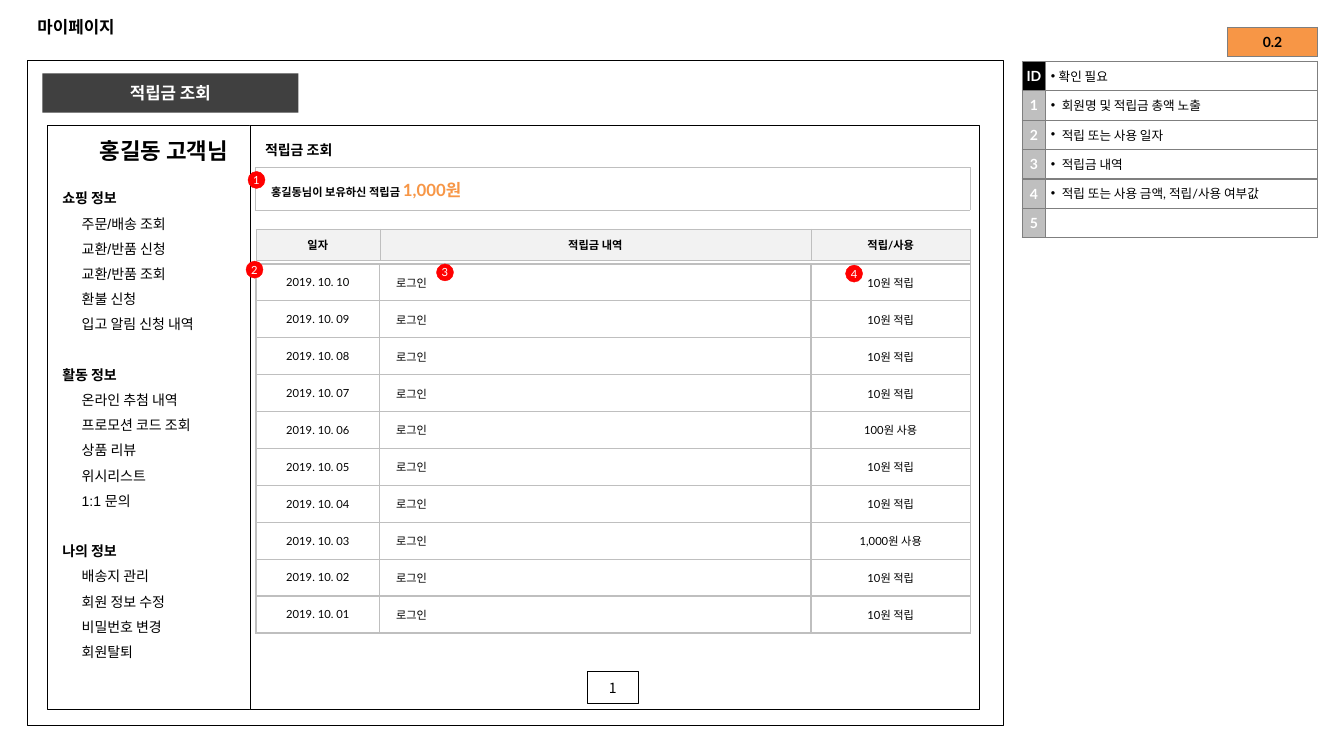
import dataclasses
import typing

import lxml.etree
import pptx
import pptx.dml.color
import pptx.enum.shapes
import pptx.enum.text
import pptx.oxml.ns
import pptx.util

Cm = pptx.util.Cm
Pt = pptx.util.Pt
ALIGN = pptx.enum.text.PP_ALIGN
MID = pptx.enum.text.MSO_ANCHOR.MIDDLE
TOP = pptx.enum.text.MSO_ANCHOR.TOP
KIND = pptx.enum.shapes.MSO_SHAPE
qn = pptx.oxml.ns.qn
Spot = tuple[float, float, float, float]


@dataclasses.dataclass
class Style:
    size: float = 8
    bold: bool = False
    face: str = "Lato"
    ink: str = "000000"
    align: typing.Any = ALIGN.CENTER


@dataclasses.dataclass
class Box:
    spot: Spot
    fill: str = ""
    line: str = ""
    width: float = 0.25
    text: str = ""
    style: Style = dataclasses.field(default_factory=Style)
    kind: typing.Any = KIND.RECTANGLE
    pad: float = 0.25


@dataclasses.dataclass
class Cell:
    text: str
    style: Style
    fill: str = "FFFFFF"
    inset: float = 0
    bullet: float = 0
    indent: float = 0
    anchor: typing.Any = MID


@dataclasses.dataclass
class Grid:
    left: float
    top: float
    cols: list[float]
    high: float
    rows: list[list[Cell]]
    edge: str
    width: float


def paint(code: str) -> pptx.dml.color.RGBColor:
    return pptx.dml.color.RGBColor.from_string(code)


def place(spot: Spot) -> list[int]:
    return [Cm(value) for value in spot]


def assign(item: typing.Any, values: dict[str, typing.Any]) -> None:
    for name, value in values.items():
        setattr(item, name, value)


def pad(frame: typing.Any, size: float) -> None:
    sides = ("left", "right", "top", "bottom")
    assign(frame, {f"margin_{side}": Cm(size) for side in sides})


def write(para: typing.Any, text: str, style: Style) -> None:
    para.alignment = style.align
    run = para.add_run()
    run.text = text
    assign(run.font, {"size": Pt(style.size), "bold": style.bold, "name": style.face})
    run.font.color.rgb = paint(style.ink)


def shift(para: typing.Any, left: float, first: float = 0) -> None:
    props = para._p.get_or_add_pPr()
    props.set("marL", str(Cm(left)))
    props.set("indent", str(Cm(first)))


def draw_box(slide: typing.Any, box: Box) -> None:
    shape = slide.shapes.add_shape(box.kind, *place(box.spot))
    shape.shadow.inherit = False
    for ink, part in ((box.fill, shape.fill), (box.line, shape.line.fill)):
        if ink:
            part.solid()
            part.fore_color.rgb = paint(ink)
        else:
            part.background()
    if box.line:
        shape.line.width = Pt(box.width)
    if box.text:
        frame = shape.text_frame
        assign(frame, {"word_wrap": True, "vertical_anchor": MID})
        pad(frame, box.pad)
        write(frame.paragraphs[0], box.text, box.style)


def add_text(slide: typing.Any, spot: Spot, anchor: typing.Any) -> typing.Any:
    frame = slide.shapes.add_textbox(*place(spot)).text_frame
    assign(frame, {"word_wrap": True, "vertical_anchor": anchor})
    return frame


def edge_cell(props: typing.Any, ink: str, width: float) -> None:
    for spot, side in enumerate(("lnL", "lnR", "lnT", "lnB")):
        line = lxml.etree.Element(qn(f"a:{side}"), w=str(Pt(width)))
        fill = lxml.etree.SubElement(line, qn("a:solidFill"))
        lxml.etree.SubElement(fill, qn("a:srgbClr"), val=ink)
        props.insert(spot, line)


def fill_cell(spot: typing.Any, cell: Cell) -> None:
    spot.fill.solid()
    spot.fill.fore_color.rgb = paint(cell.fill)
    pad(spot, cell.inset)
    spot.vertical_anchor = cell.anchor
    para = spot.text_frame.paragraphs[0]
    if cell.bullet:
        shift(para, cell.bullet, -cell.bullet)
        props = para._p.get_or_add_pPr()
        lxml.etree.SubElement(props, qn("a:buFont"), typeface="Arial")
        lxml.etree.SubElement(props, qn("a:buChar"), char="•")
    elif cell.indent:
        shift(para, 0, cell.indent)
    if cell.text:
        write(para, cell.text, cell.style)
    else:
        size = str(int(cell.style.size * 100))
        lxml.etree.SubElement(para._p, qn("a:endParaRPr"), sz=size)


def draw_grid(slide: typing.Any, grid: Grid) -> typing.Any:
    count = len(grid.rows)
    spot = (grid.left, grid.top, sum(grid.cols), grid.high * count)
    table = slide.shapes.add_table(count, len(grid.cols), *place(spot)).table
    assign(table, {"first_row": False, "horz_banding": False})
    for col, wide in zip(table.columns, grid.cols):
        col.width = Cm(wide)
    for y, row in enumerate(grid.rows):
        table.rows[y].height = Cm(grid.high)
        for x, cell in enumerate(row):
            fill_cell(table.cell(y, x), cell)
            edge_cell(table.cell(y, x)._tc.get_or_add_tcPr(), grid.edge, grid.width)
    return table


HEAD = Style(10, True, "Arial", align=ALIGN.LEFT)
ITEM = Style(10, False, "Arial", align=ALIGN.LEFT)
NOTE = Style(9, align=ALIGN.LEFT)
LEFT = Style(align=ALIGN.LEFT)
BOLD = Style(bold=True)
GRAY, DARK, GOLD = "BFBFBF", "7F7F7F", "F79646"
COLS = [3.12, 10.87, 4.02]
MENU = {
    "쇼핑 정보": ["주문/배송 조회", "교환/반품 신청", "교환/반품 조회", "환불 신청", "입고 알림 신청 내역"],
    "활동 정보": ["온라인 추첨 내역", "프로모션 코드 조회", "상품 리뷰", "위시리스트", "1:1 문의"],
    "나의 정보": ["배송지 관리", "회원 정보 수정", "비밀번호 변경", "회원탈퇴"],
}
NOTES = ["확인 필요", "회원명 및 적립금 총액 노출", "적립 또는 사용 일자", "적립금 내역",
         "적립 또는 사용 금액, 적립/사용 여부값", ""]
SPENT = {6: "100원 사용", 3: "1,000원 사용"}
BADGES = [(6.25, 4.32), (6.2, 6.58), (11, 6.65), (21.31, 6.68)]


def draw_menu(slide: typing.Any) -> None:
    frame = add_text(slide, (1.3, 4.45, 5, 12.01), TOP)
    for group, (head, items) in enumerate(MENU.items()):
        for rank, text in enumerate([head, *items]):
            para = frame.add_paragraph() if group or rank else frame.paragraphs[0]
            shift(para, 0.51 if rank else 0.02)
            para.line_spacing = Pt(18)
            if group and not rank:
                para.space_before = Pt(18)
            write(para, text, ITEM if rank else HEAD)


def draw_notes(slide: typing.Any) -> None:
    rows = []
    for rank, text in enumerate(NOTES):
        mark = Cell(str(rank or "ID"), Style(10, True, ink="FFFFFF"), GRAY if rank else "000000")
        note = Cell(text, NOTE, inset=0.13, bullet=0.28 if rank else 0.2, anchor=TOP)
        rows.append([mark, note if text else Cell("", NOTE)])
    draw_grid(slide, Grid(25.76, 1.55, [0.59, 6.86], 0.74, rows, DARK, 1))


def draw_log(slide: typing.Any) -> None:
    rows = [[Cell(f"2019. 10. {day:02}", Style()), Cell("로그인", LEFT, indent=0.41),
             Cell(SPENT.get(day, "10원 적립"), Style())] for day in range(10, 0, -1)]
    draw_grid(slide, Grid(6.45, 6.65, COLS, 0.93, rows, GRAY, 1))
    heads = [Cell(text, BOLD, "F2F2F2") for text in ("일자", "적립금 내역", "적립/사용")]
    draw_grid(slide, Grid(6.45, 5.77, COLS, 0.79, [heads], GRAY, 0.25))


def main() -> None:
    deck = pptx.Presentation()
    assign(deck, {"slide_width": Cm(33.87), "slide_height": Cm(19.05)})
    slide = deck.slides.add_slide(deck.slide_layouts[5])
    title = slide.shapes.title
    assign(title, dict(zip(("left", "top", "width", "height"), place((0.69, 0.18, 32.49, 0.99)))))
    assign(title.text_frame, {"vertical_anchor": MID, "auto_size": pptx.enum.text.MSO_AUTO_SIZE.NONE})
    write(title.text_frame.paragraphs[0], "마이페이지", Style(12, True, "Arial", align=ALIGN.LEFT))

    for box in (
        Box((0.69, 1.52, 24.61, 16.76), line="000000", width=0.75),
        Box((1.19, 3.15, 5.13, 14.73), "FFFFFF", "000000"),
        Box((1.07, 1.85, 6.45, 0.99), "404040", text="적립금 조회", style=Style(12, True, "Arial", "FFFFFF")),
        Box((6.3, 3.15, 18.39, 14.73), "FFFFFF", "000000"),
        Box((14.81, 16.92, 1.27, 0.81), "FFFFFF", "000000", text="1", style=Style(10, face="Noto Sans CJK KR")),
        Box((6.45, 5.79, 18.01, 1.02), line=GRAY),
        Box((6.45, 4.22, 18.01, 1.02), line=GRAY),
    ):
        draw_box(slide, box)
    draw_notes(slide)
    draw_menu(slide)
    for spot, text, size, anchor in (
        ((2.26, 3.38, 4.37, 0.84), "홍길동 고객님", 16, TOP),
        ((6.43, 3.25, 5, 0.84), "적립금 조회", 10, MID),
    ):
        para = add_text(slide, spot, anchor).paragraphs[0]
        para.line_spacing = Pt(18)
        write(para, text, dataclasses.replace(HEAD, size=size))
    draw_log(slide)

    owner = Cell("홍길동님이 보유하신 적립금 ", dataclasses.replace(LEFT, bold=True), indent=0.4)
    table = draw_grid(slide, Grid(6.43, 4.22, [18.01], 1.07, [[owner]], GRAY, 0.25))
    para = table.cell(0, 0).text_frame.paragraphs[0]
    write(para, "1,000원", Style(12, True, ink=GOLD, align=ALIGN.LEFT))
    for rank, (left, top) in enumerate(BADGES, 1):
        draw_box(slide, Box((left, top, 0.43, 0.43), "FF0000", "FF0000", text=str(rank),
                            style=Style(ink="FFFFFF"), kind=KIND.OVAL, pad=0))
    draw_grid(slide, Grid(30.94, 0.69, [2.26], 0.74, [[Cell("0.2", Style(10, True), GOLD)]], DARK, 1))
    deck.save("out.pptx")


if __name__ == "__main__":
    main()
